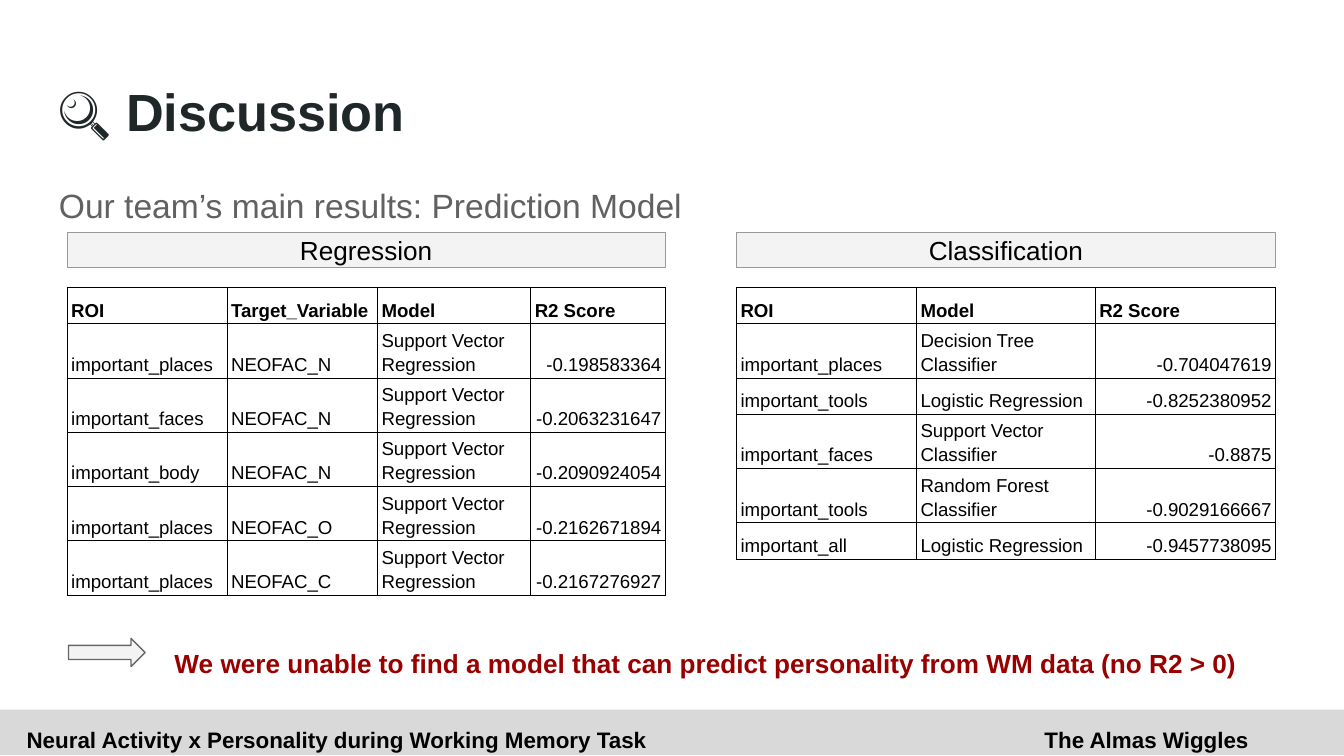
from lxml import etree
from pptx import Presentation
from pptx.dml.color import RGBColor
from pptx.enum.shapes import MSO_SHAPE
from pptx.enum.text import MSO_ANCHOR, PP_ALIGN
from pptx.oxml.ns import qn
from pptx.util import Inches, Pt

RECTANGLE, RIGHT_ARROW = MSO_SHAPE.RECTANGLE, MSO_SHAPE.RIGHT_ARROW
TOP, MIDDLE, BOTTOM = MSO_ANCHOR.TOP, MSO_ANCHOR.MIDDLE, MSO_ANCHOR.BOTTOM
LEFT, CENTER, RIGHT = PP_ALIGN.LEFT, PP_ALIGN.CENTER, PP_ALIGN.RIGHT

FONT = "Arial"
COLORS = {
    "black": "000000",
    "title": "202729",
    "subtitle": "616161",
    "conclusion": "990000",
    "footer": "D9D9D9",
    "panel": "F3F3F3",
    "panel_line": "999999",
    "arrow_line": "666666",
}

TEXTS = [
    ("Neural Activity x Personality during Working Memory Task",
     (0.1, 5.3, 4.9, 0.34), 12, "black", True, LEFT, 1),
    ("The Almas Wiggles", (5.52, 5.3, 3.87, 0.37), 12, "black", True, RIGHT, 1),
    ("🔍 Discussion", (0.34, 0.49, 9.32, 0.63), 28, "title", True, LEFT, 1),
    ("Our team’s main results: Prediction Model",
     (0.34, 1.23, 9.32, 0.35), 18, "subtitle", False, LEFT, 1.15),
    ("We were unable to find a model that can predict personality from WM data (no R2 > 0)",
     (1.2, 4.68, 8.23, 0.35), 14, "conclusion", True, LEFT, 1.15),
]

SVR = "Support Vector Regression"
RESULTS = [
    {
        "heading": "Regression",
        "left": 0.5,
        "columns": [1.19, 1.12, 1.14, 1],
        "rows": [
            ("ROI", "Target_Variable", "Model", "R2 Score"),
            ("important_places", "NEOFAC_N", SVR, "-0.198583364"),
            ("important_faces", "NEOFAC_N", SVR, "-0.2063231647"),
            ("important_body", "NEOFAC_N", SVR, "-0.2090924054"),
            ("important_places", "NEOFAC_O", SVR, "-0.2162671894"),
            ("important_places", "NEOFAC_C", SVR, "-0.2167276927"),
        ],
    },
    {
        "heading": "Classification",
        "left": 5.48,
        "columns": [1.34, 1.33, 1.34],
        "rows": [
            ("ROI", "Model", "R2 Score"),
            ("important_places", "Decision Tree Classifier", "-0.704047619"),
            ("important_tools", "Logistic Regression", "-0.8252380952"),
            ("important_faces", "Support Vector Classifier", "-0.8875"),
            ("important_tools", "Random Forest Classifier", "-0.9029166667"),
            ("important_all", "Logistic Regression", "-0.9457738095"),
        ],
    },
]
HEADING_TOP, HEADING_HEIGHT = 1.73, 0.26
TABLE_TOP, ROW_HEIGHT = 2.14, 0.27


def color(name):
    return RGBColor.from_string(COLORS[name])


def write(frame, text, size, color_name="black", bold=False, align=LEFT, spacing=1):
    paragraph = frame.paragraphs[0]
    paragraph.text = text
    paragraph.alignment = align
    paragraph.line_spacing = spacing
    font = paragraph.font
    font.name, font.size, font.bold = FONT, Pt(size), bold
    font.color.rgb = color(color_name)


def set_insets(target, horizontal, top, bottom):
    target.margin_left = target.margin_right = Inches(horizontal)
    target.margin_top, target.margin_bottom = Inches(top), Inches(bottom)


def add_text(slide, text, box, *style):
    frame = slide.shapes.add_textbox(*map(Inches, box)).text_frame
    frame.word_wrap = True
    frame.vertical_anchor = TOP
    set_insets(frame, 0.1, 0.1, 0.1)
    write(frame, text, *style)


def add_panel(slide, kind, box, fill, line=None):
    shape = slide.shapes.add_shape(kind, *map(Inches, box))
    shape.shadow.inherit = False
    shape.fill.solid()
    shape.fill.fore_color.rgb = color(fill)
    if line:
        shape.line.color.rgb = color(line)
        shape.line.width = Pt(0.75)
    else:
        shape.line.fill.background()
    return shape


def add_borders(cell):
    properties = cell._tc.get_or_add_tcPr()
    for position, side in enumerate(("a:lnL", "a:lnR", "a:lnT", "a:lnB")):
        line = etree.Element(qn(side), w=str(Pt(0.6)))
        fill = etree.SubElement(line, qn("a:solidFill"))
        etree.SubElement(fill, qn("a:srgbClr"), val=COLORS["black"])
        properties.insert(position, line)


def add_result(slide, heading, left, columns, rows):
    width = sum(columns)
    panel = add_panel(slide, RECTANGLE, (left, HEADING_TOP, width, HEADING_HEIGHT),
                      "panel", "panel_line")
    panel.text_frame.vertical_anchor = MIDDLE
    set_insets(panel.text_frame, 0.1, 0.1, 0.1)
    write(panel.text_frame, heading, 14, align=CENTER)

    box = (left, TABLE_TOP, width, ROW_HEIGHT * len(rows))
    table = slide.shapes.add_table(len(rows), len(columns), *map(Inches, box)).table
    table.horz_banding = False
    for column, column_width in zip(table.columns, columns):
        column.width = Inches(column_width)
    for row_index, row in enumerate(rows):
        table.rows[row_index].height = Inches(ROW_HEIGHT)
        for column_index, text in enumerate(row):
            cell = table.cell(row_index, column_index)
            cell.fill.background()
            cell.vertical_anchor = BOTTOM
            set_insets(cell, 0.03, 0, 0.02)
            is_score = row_index > 0 and column_index == len(columns) - 1
            write(cell.text_frame, text, 10, bold=row_index == 0,
                  align=RIGHT if is_score else LEFT, spacing=1.15)
            add_borders(cell)


def main():
    presentation = Presentation()
    presentation.slide_width = Inches(10)
    presentation.slide_height = presentation.slide_width * 9 // 16
    slide = presentation.slides.add_slide(presentation.slide_layouts[6])
    add_panel(slide, RECTANGLE, (0, 5.28, 10, 0.34), "footer")
    for text in TEXTS:
        add_text(slide, *text)
    for result in RESULTS:
        add_result(slide, **result)
    add_panel(slide, RIGHT_ARROW, (0.51, 4.75, 0.57, 0.21), "panel", "arrow_line")
    presentation.save("out.pptx")


if __name__ == "__main__":
    main()
